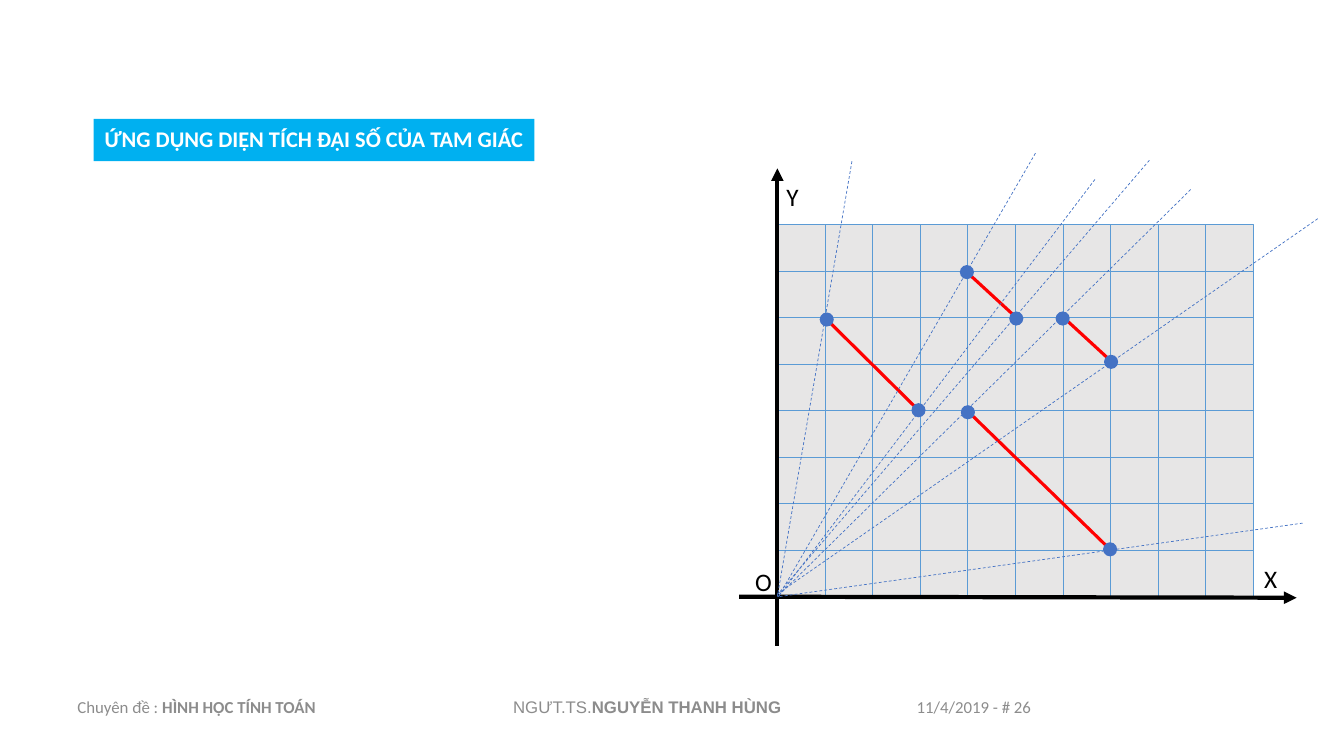
from lxml import etree
from pptx import Presentation
from pptx.dml.color import RGBColor
from pptx.enum.dml import MSO_LINE
from pptx.enum.shapes import MSO_CONNECTOR, MSO_SHAPE
from pptx.enum.text import MSO_ANCHOR, PP_ALIGN
from pptx.oxml.ns import qn
from pptx.util import Inches, Pt

RECT, OVAL = MSO_SHAPE.RECTANGLE, MSO_SHAPE.OVAL
STRAIGHT, DASH = MSO_CONNECTOR.STRAIGHT, MSO_LINE.DASH
LEFT, CENTER = PP_ALIGN.LEFT, PP_ALIGN.CENTER
TOP, MIDDLE = MSO_ANCHOR.TOP, MSO_ANCHOR.MIDDLE

BLACK = RGBColor(0x00, 0x00, 0x00)
WHITE = RGBColor(0xFF, 0xFF, 0xFF)
GRAY = RGBColor(0x8C, 0x8C, 0x8C)
CELL_GRAY = RGBColor(0xE7, 0xE6, 0xE6)
GRID_BLUE = RGBColor(0x5B, 0x9B, 0xD5)
POINT_BLUE = RGBColor(0x44, 0x72, 0xC4)
TITLE_BLUE = RGBColor(0x00, 0xB0, 0xF0)
RED = RGBColor(0xFF, 0x00, 0x00)

GRID_LEFT, GRID_TOP = 7.71, 2.23
COLUMNS, ROWS = 10, 8
CELL_W, CELL_H = 4.72 / COLUMNS, 3.69 / ROWS
DOT = 0.14

FOOTERS = [
    (0.67, 3, LEFT, "Calibri", [("Chuyên đề : ", False), ("HÌNH HỌC TÍNH TOÁN", True)]),
    (4.17, 4.5, CENTER, "Arial", [("NGƯT.TS.", False), ("NGUYỄN THANH HÙNG", True)]),
    (7.41, 4.5, CENTER, "Calibri", [("11/4/2019 - # 26", False)]),
]
AXES = [((7.71, 1.67), (7.71, 6.41)), ((12.86, 5.93), (7.33, 5.92))]
AXIS_LABELS = [("Y", 7.7, 1.75, 0.32), ("X", 12.44, 5.54, 0.33), ("O", 7.39, 5.57, 0.37)]
SEGMENTS = [
    ((8.18, 3.15), (9.11, 4.07)),
    ((9.62, 4.1), (11.03, 5.47)),
    ((9.59, 2.7), (10.09, 3.16)),
    ((10.56, 3.16), (11.06, 3.62)),
]
DOTS = [(8.13, 3.1), (9.04, 4), (9.52, 2.63), (10.01, 3.09),
        (10.47, 3.09), (10.95, 3.52), (10.94, 5.38), (9.53, 4.02)]
RAYS = [
    ((8.45, 1.6), (7.71, 5.92)),
    ((10.27, 1.52), (7.72, 5.92)),
    ((10.86, 1.78), (7.72, 5.92)),
    ((11.4, 1.59), (7.71, 5.9)),
    ((11.81, 1.88), (7.72, 5.91)),
    ((13.07, 2.17), (7.7, 5.9)),
    ((12.92, 5.19), (7.72, 5.92)),
]


class Canvas:
    font = "Calibri"

    def __init__(self, slide):
        self.slide = slide
        self.shapes = slide.shapes

    def group(self):
        self.shapes = self.slide.shapes.add_group_shape().shapes

    def shape(self, kind, x, y, w, h, fill, line=None):
        sp = self.shapes.add_shape(kind, Inches(x), Inches(y), Inches(w), Inches(h))
        sp.shadow.inherit = False
        sp.fill.solid()
        sp.fill.fore_color.rgb = fill
        if line is None:
            sp.line.fill.background()
        else:
            sp.line.color.rgb = line
            sp.line.width = Pt(0.5)
        return sp

    def line(self, start, end, color, width, dash=None, arrow=False):
        points = [Inches(v) for v in (*start, *end)]
        sp = self.shapes.add_connector(STRAIGHT, *points)
        sp.line.color.rgb = color
        sp.line.width = Pt(width)
        if dash is not None:
            sp.line.dash_style = dash
        props = sp._element.spPr
        if arrow:
            etree.SubElement(props.find(qn("a:ln")), qn("a:headEnd"), type="triangle")
        etree.SubElement(props, qn("a:effectLst"))

    def add_runs(self, sp, runs, size, color, font=None, align=LEFT, anchor=TOP, wrap=False):
        tf = sp.text_frame
        tf.word_wrap = wrap
        tf.vertical_anchor = anchor
        p = tf.paragraphs[0]
        p.alignment = align
        for text, bold in runs:
            r = p.add_run()
            r.text = text
            r.font.name = font or self.font
            r.font.size = Pt(size)
            r.font.bold = bold
            r.font.color.rgb = color
        return p

    def text(self, x, y, w, h, runs, size, color, **style):
        sp = self.shapes.add_textbox(Inches(x), Inches(y), Inches(w), Inches(h))
        self.add_runs(sp, runs, size, color, **style)


def main():
    prs = Presentation()
    prs.slide_width, prs.slide_height = Inches(13.33), Inches(7.5)
    s = Canvas(prs.slides.add_slide(prs.slide_layouts[6]))

    for x, w, align, font, runs in FOOTERS:
        s.text(x, 6.81, w, 0.4, runs, 12, GRAY,
               font=font, align=align, anchor=MIDDLE, wrap=True)

    title = s.shape(RECT, 0.93, 1.18, 4.37, 0.42, TITLE_BLUE)
    p = s.add_runs(title, [("ỨNG DỤNG DIỆN TÍCH ĐẠI SỐ CỦA TAM GIÁC", True)], 16, WHITE,
                   align=CENTER, anchor=MIDDLE)
    p.line_spacing = 0.9

    s.group()
    for row in range(ROWS):
        for col in range(COLUMNS):
            s.shape(RECT, GRID_LEFT + col * CELL_W, GRID_TOP + row * CELL_H,
                    CELL_W, CELL_H, CELL_GRAY, GRID_BLUE)

    s.group()
    for start, end in AXES:
        s.line(start, end, BLACK, 3, arrow=True)
    for label, x, y, w in AXIS_LABELS:
        s.text(x, y, w, 0.4, [(label, False)], 18, BLACK)

    s.group()
    for start, end in SEGMENTS:
        s.line(start, end, RED, 2.25)

    s.group()
    for x, y in DOTS:
        s.shape(OVAL, x, y, DOT, DOT, POINT_BLUE)

    s.group()
    for start, end in RAYS:
        s.line(start, end, POINT_BLUE, 0.5, dash=DASH)

    prs.save("out.pptx")


if __name__ == "__main__":
    main()
